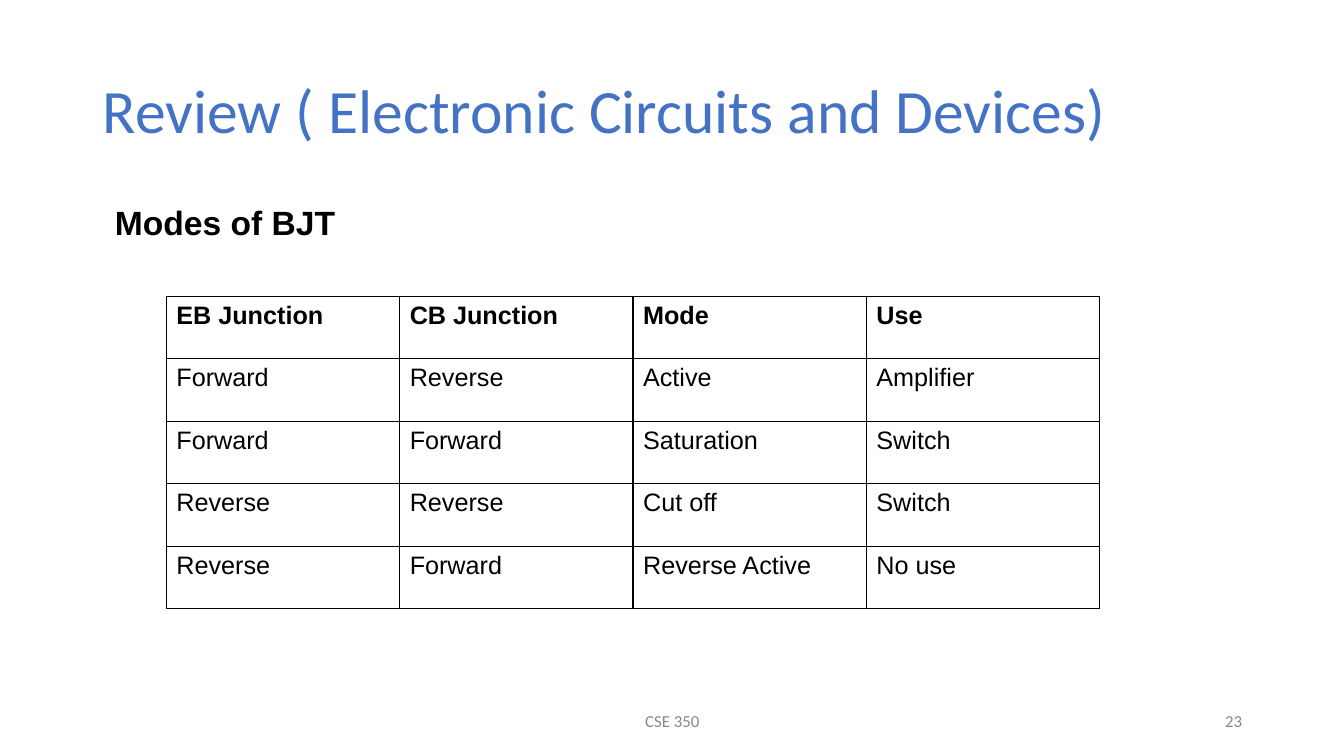
import pptx
import pptx.util
import pptx.oxml
import pptx.oxml.ns
import pptx.dml.color
import pptx.enum.text

Inches = pptx.util.Inches
Pt = pptx.util.Pt
Align = pptx.enum.text.PP_ALIGN
Anchor = pptx.enum.text.MSO_ANCHOR

COLORS = {"title": "4472C4", "text": "000000", "footer": "888888", "border": "000000"}
MODES = [
    ["EB Junction", "CB Junction", "Mode", "Use"],
    ["Forward", "Reverse", "Active", "Amplifier"],
    ["Forward", "Forward", "Saturation", "Switch"],
    ["Reverse", "Reverse", "Cut off", "Switch"],
    ["Reverse", "Forward", "Reverse Active", "No use"],
]
COLUMN_WIDTH = Inches(2.315)
ROW_HEIGHT = Inches(0.62)


def place(shape, left, top, width, height):
    shape.left, shape.top = Inches(left), Inches(top)
    shape.width, shape.height = Inches(width), Inches(height)


def style(para, font_name, size, color, bold=False):
    para.font.name = font_name
    para.font.size = Pt(size)
    para.font.bold = bold
    para.font.color.rgb = pptx.dml.color.RGBColor.from_string(COLORS[color])


deck = pptx.Presentation()
deck.slide_width = Inches(13.333)
deck.slide_height = Inches(7.5)
page = deck.slides.add_slide(deck.slide_layouts[1])

title = page.shapes.title
place(title, 0.92, 0.4, 11.5, 1.45)
title.text_frame.text = "Review ( Electronic Circuits and Devices)"
title.text_frame.vertical_anchor = Anchor.MIDDLE
title.text_frame.auto_size = pptx.enum.text.MSO_AUTO_SIZE.NONE
para = title.text_frame.paragraphs[0]
para.alignment = Align.LEFT
para.line_spacing = 0.9
style(para, "Calibri", 44, "title")

body = page.placeholders[1]
place(body, 0.92, 2, 11.5, 4.76)
body.text_frame.text = "Modes of BJT"
body.text_frame.auto_size = pptx.enum.text.MSO_AUTO_SIZE.NONE
para = body.text_frame.paragraphs[0]
properties = para._p.get_or_add_pPr()
properties.set("marL", str(Inches(0.12)))
properties.set("indent", "0")
properties.append(pptx.oxml.parse_xml(f'<a:buNone {pptx.oxml.ns.nsdecls("a")}/>'))
para.line_spacing = 0.9
para.space_before = Pt(0)
style(para, "Arial", 24, "text", bold=True)

frame = page.shapes.add_table(
    len(MODES), len(MODES[0]), Inches(1.65), Inches(2.94),
    COLUMN_WIDTH * len(MODES[0]), ROW_HEIGHT * len(MODES))
table = frame.table
table.horz_banding = False
for column in table.columns:
    column.width = COLUMN_WIDTH
for row_index, words in enumerate(MODES):
    table.rows[row_index].height = ROW_HEIGHT
    for column_index, word in enumerate(words):
        cell = table.cell(row_index, column_index)
        cell.text = word
        style(cell.text_frame.paragraphs[0], "Arial", 18, "text", bold=row_index == 0)
        for side in ("lnL", "lnR", "lnT", "lnB"):
            cell._tc.get_or_add_tcPr().append(pptx.oxml.parse_xml(
                f'<a:{side} {pptx.oxml.ns.nsdecls("a")} w="{Pt(1)}"><a:solidFill>'
                f'<a:srgbClr val="{COLORS["border"]}"/></a:solidFill></a:{side}>'))
        cell.fill.background()

for words, left, width, alignment in (
    ("CSE 350", 4.42, 4.5, Align.CENTER),
    ("23", 9.42, 3, Align.RIGHT),
):
    box = page.shapes.add_textbox(Inches(left), Inches(6.95), Inches(width), Inches(0.4))
    box.text_frame.word_wrap = True
    box.text_frame.vertical_anchor = Anchor.MIDDLE
    box.text_frame.text = words
    para = box.text_frame.paragraphs[0]
    para.alignment = alignment
    style(para, "Calibri", 12, "footer")

deck.save("out.pptx")
